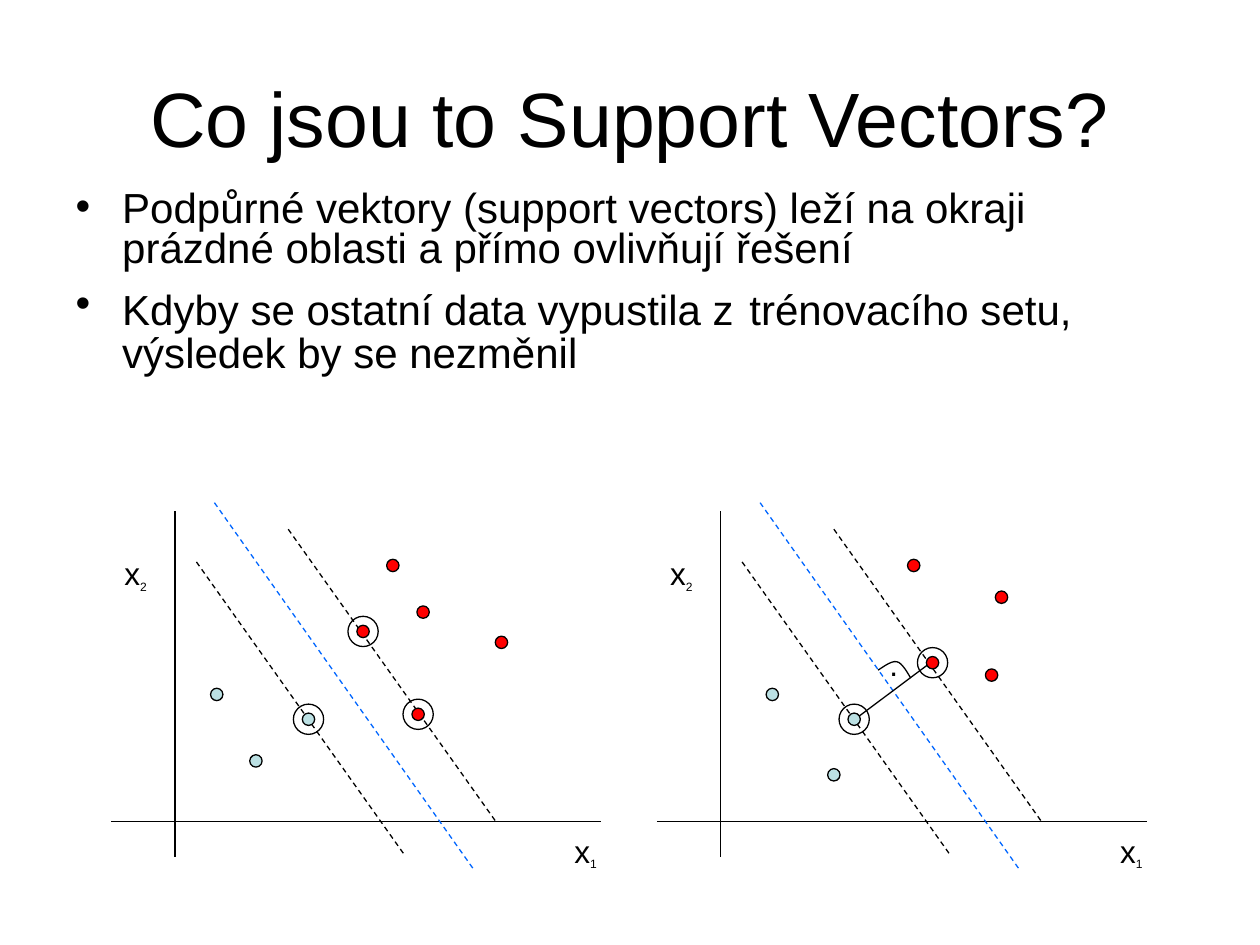
from lxml.etree import SubElement
from pptx import Presentation
from pptx.dml.color import RGBColor
from pptx.enum.dml import MSO_LINE
from pptx.enum.shapes import MSO_CONNECTOR, MSO_SHAPE
from pptx.enum.text import MSO_ANCHOR, MSO_AUTO_SIZE, PP_ALIGN
from pptx.oxml.ns import qn
from pptx.util import Cm, Pt

BLACK = RGBColor(0x00, 0x00, 0x00)
BLUE = RGBColor(0x00, 0x66, 0xFF)
RED = RGBColor(0xFF, 0x00, 0x00)
PALE = RGBColor(0xBB, 0xE0, 0xE3)
THIN = Pt(0.75)
DOT, RING = 0.25, 0.61
PANEL_STEP = 11

presentation = Presentation()
presentation.slide_width = Cm(25.4)
presentation.slide_height = Cm(19.05)
slide = presentation.slides.add_slide(presentation.slide_layouts[1])
shapes = slide.shapes


def add_text(paragraph, text, size, subscript=False):
    run = paragraph.add_run()
    run.text = text
    for name, value in {"name": "Arial", "size": Pt(size)}.items():
        setattr(run.font, name, value)
    run.font.color.rgb = BLACK
    if subscript:
        run.font._element.set("baseline", "-25000")


def add_circle(x, y, size, color=None):
    circle = shapes.add_shape(MSO_SHAPE.OVAL, Cm(x - size / 2), Cm(y - size / 2), Cm(size), Cm(size))
    circle.shadow.inherit = False
    circle.line.color.rgb = BLACK
    circle.line.width = THIN
    if color is None:
        circle.fill.background()
    else:
        circle.fill.solid()
        circle.fill.fore_color.rgb = color


title = shapes.title
answers = slide.placeholders[1]
for holder, (left, top, width, height), anchor in [
    (title, (1.27, 0.76, 22.86, 3.18), MSO_ANCHOR.MIDDLE),
    (answers, (1.27, 3.73, 22.63, 4.39), MSO_ANCHOR.TOP),
]:
    place = {"left": Cm(left), "top": Cm(top), "width": Cm(width), "height": Cm(height)}
    for name, value in place.items():
        setattr(holder, name, value)
    frame_format = {"auto_size": MSO_AUTO_SIZE.NONE, "word_wrap": True, "vertical_anchor": anchor}
    for name, value in frame_format.items():
        setattr(holder.text_frame, name, value)

heading = title.text_frame.paragraphs[0]
heading.alignment = PP_ALIGN.CENTER
add_text(heading, "Co jsou to Support Vectors?", 44)

points = [
    [("Podpůrné vektory (support vectors) leží na okraji prázdné oblasti a přímo ovlivňují řešení", 24)],
    [("Kdyby se ostatní data vypustila z", 24), (" ", 32), ("trénovacího setu, výsledek by se nezměnil", 24)],
]
for index, runs in enumerate(points):
    point = answers.text_frame.paragraphs[0] if index == 0 else answers.text_frame.add_paragraph()
    properties = point._p.get_or_add_pPr()
    properties.set("marL", str(Cm(0.94)))
    properties.set("indent", str(-Cm(0.94)))
    spacing = {"line_spacing": 0.8, "space_before": Pt(6 * index)}
    for name, value in spacing.items():
        setattr(point, name, value)
    for text, size in runs:
        add_text(point, text, size)

lines = []
labels = [(17.68, 12.88, ".", "")]
for shift in (0, PANEL_STEP):
    for x1, y1, x2, y2, color, dash in [
        (3.53, 10.31, 3.53, 17.27, BLACK, None),
        (2.24, 16.56, 12.12, 16.56, BLACK, None),
        (9.53, 17.5, 4.32, 10.13, BLUE, MSO_LINE.DASH),
        (8.13, 17.2, 3.94, 11.3, BLACK, MSO_LINE.DASH),
        (9.98, 16.54, 5.79, 10.64, BLACK, MSO_LINE.DASH),
    ]:
        lines.append((x1 + shift, y1, x2 + shift, y2, color, dash))
    labels += [(11.33 + shift, 16.64, "x", "1"), (2.26 + shift, 11.05, "x", "2")]
lines.append((17.3, 14.45, 18.69, 13.41, BLACK, None))

for x1, y1, x2, y2, color, dash in lines:
    line = shapes.add_connector(MSO_CONNECTOR.STRAIGHT, Cm(x1), Cm(y1), Cm(x2), Cm(y2))
    line.line.color.rgb = color
    line.line.width = THIN
    if dash:
        line.line.dash_style = dash
    SubElement(line._element.spPr, qn("a:effectLst"))

support_vectors = [
    (8.43, 14.4, RED), (7.32, 12.73, RED), (6.22, 14.5, PALE),
    (18.8, 13.36, RED), (17.22, 14.5, PALE),
]
other_data = [
    (7.92, 11.4, RED), (8.53, 12.34, RED), (10.11, 12.95, RED),
    (5.16, 15.34, PALE), (4.37, 14, PALE),
    (18.42, 11.4, RED), (20.19, 12.04, RED), (19.99, 13.61, RED),
    (16.81, 15.62, PALE), (15.57, 14, PALE),
]
for x, y, color in support_vectors + other_data:
    add_circle(x, y, DOT, color)
for x, y, color in support_vectors:
    add_circle(x, y, RING)

arc_controls = [
    [(17.7, 13.51), (17.75, 13.49), (17.96, 13.31), (18.08, 13.34)],
    [(18.08, 13.34), (18.19, 13.36), (18.31, 13.59), (18.36, 13.67)],
]
arc_points = []
for controls in arc_controls:
    for step in range(1, 9):
        t = step / 8
        weights = ((1 - t) ** 3, 3 * t * (1 - t) ** 2, 3 * t**2 * (1 - t), t**3)
        x, y = (sum(w * c for w, c in zip(weights, axis)) for axis in zip(*controls))
        arc_points.append((Cm(x), Cm(y)))
arc_builder = shapes.build_freeform(Cm(17.7), Cm(13.51))
arc_builder.add_line_segments(arc_points, close=False)
right_angle = arc_builder.convert_to_shape()
right_angle.shadow.inherit = False
right_angle.fill.background()
right_angle.line.color.rgb = BLACK
right_angle.line.width = THIN

for left, top, text, subscript in labels:
    width = 0.99 if subscript else 0.69
    label = shapes.add_textbox(Cm(left), Cm(top), Cm(width), Cm(1.02))
    label.text_frame.word_wrap = False
    label.text_frame.auto_size = MSO_AUTO_SIZE.SHAPE_TO_FIT_TEXT
    caption = label.text_frame.paragraphs[0]
    add_text(caption, text, 18)
    if subscript:
        add_text(caption, subscript, 12, subscript=True)

presentation.save("out.pptx")
